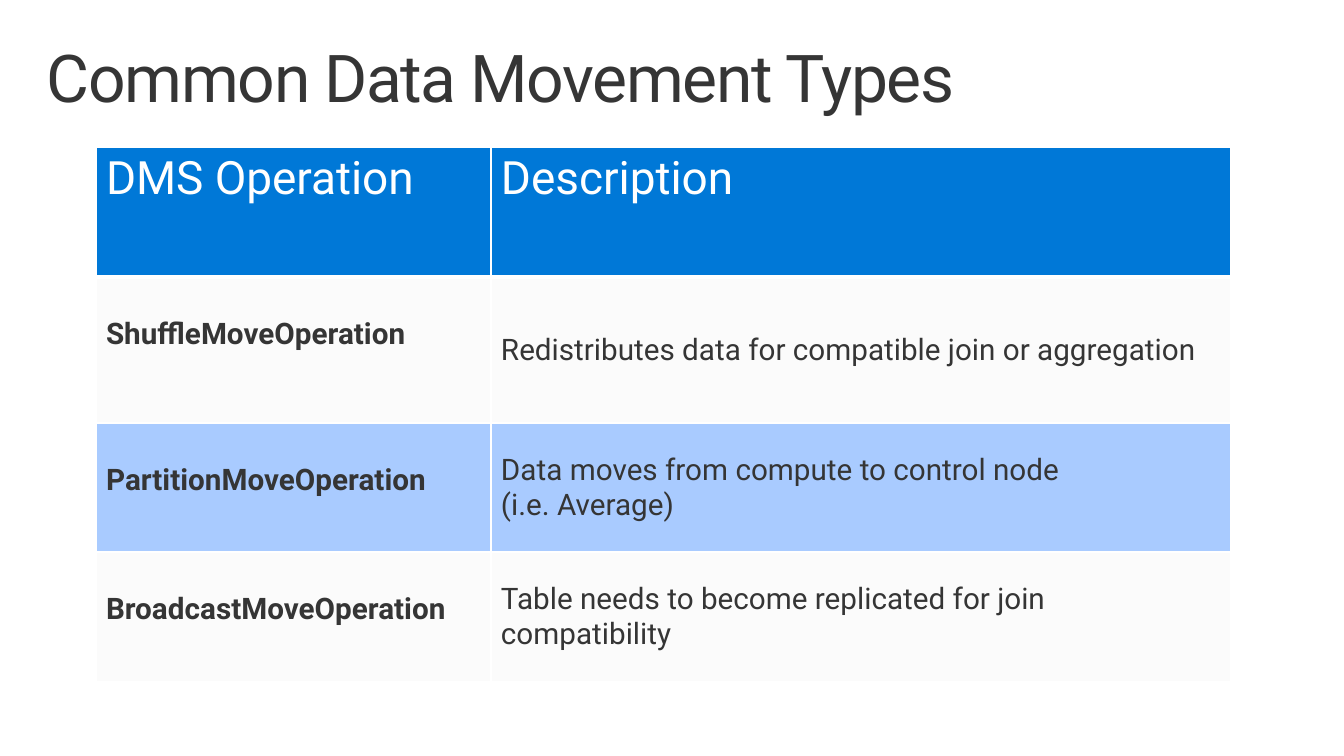
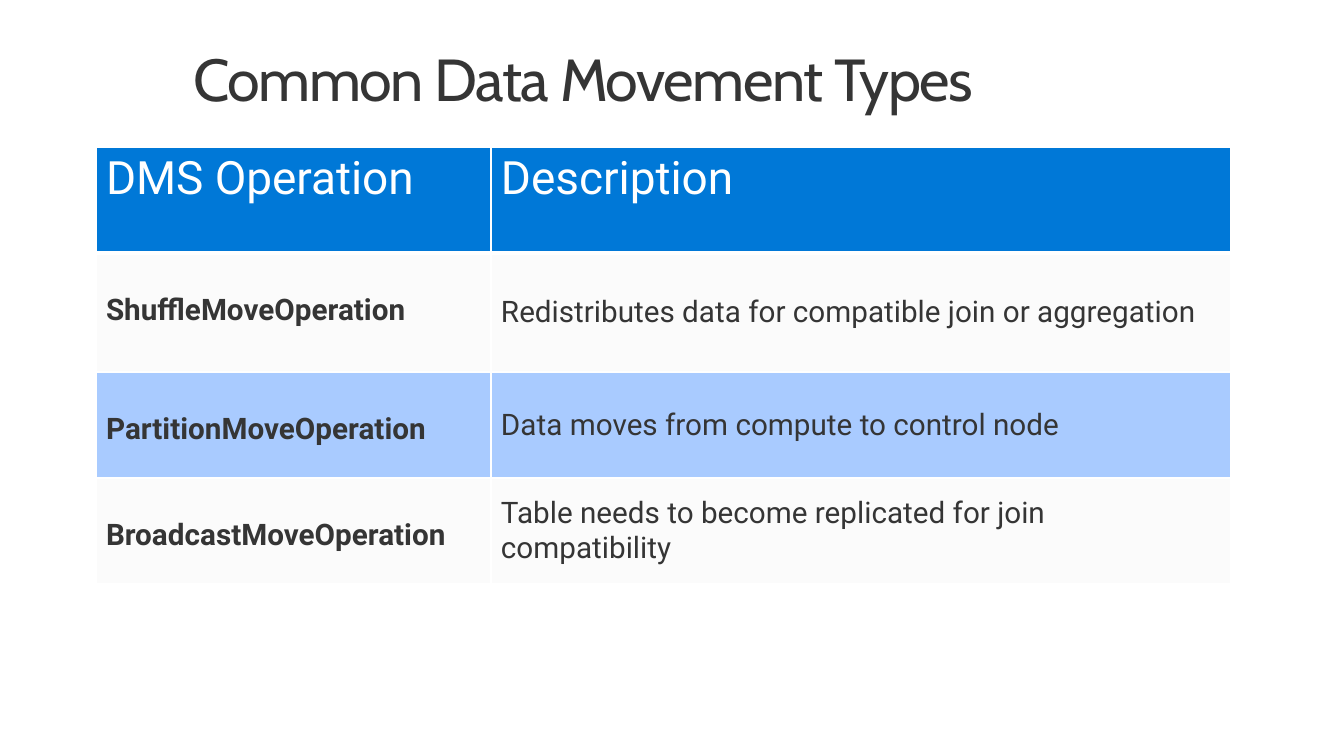
from lxml import etree
from pptx import Presentation
from pptx.dml.color import RGBColor
from pptx.enum.text import MSO_ANCHOR, MSO_AUTO_SIZE, PP_ALIGN
from pptx.oxml.ns import qn
from pptx.util import Emu, Pt

TOP, MIDDLE = MSO_ANCHOR.TOP, MSO_ANCHOR.MIDDLE
LEFT, NO_FIT = PP_ALIGN.LEFT, MSO_AUTO_SIZE.NONE
EMU_PER_PX = 8572
TITLE_ONLY = 5
COLORS = {"text": "353535", "white": "FFFFFF", "header": "0078D7",
          "light": "FBFBFB", "band": "A9CBFF"}
BODY_FONT = "Roboto"
COLUMNS = (395, 740)
CELL_INSETS = (10, 5, 10, 5)
LABEL_INSETS = (10, 40, 10, 5)  # operation names start one line lower


def px(length):
    return Emu(length * EMU_PER_PX)


def rgb(name):
    return RGBColor.from_string(COLORS[name])


class Deck:
    """Holds the shared style and the current slide."""

    def __init__(self, width, height):
        self.deck = Presentation()
        self.deck.slide_width, self.deck.slide_height = px(width), px(height)
        self.page = None

    def add_page(self):
        self.page = self.deck.slides.add_slide(self.deck.slide_layouts[TITLE_ONLY])

    def style(self, para, size, color, font=BODY_FONT, bold=False):
        para.alignment = LEFT
        for span in para.runs:
            span.font.name, span.font.size, span.font.bold = font, Pt(size), bold
            span.font.color.rgb = rgb(color)

    def inset(self, target, insets):
        (target.margin_left, target.margin_top,
         target.margin_right, target.margin_bottom) = map(px, insets)

    def title(self, text, place, size, font):
        box = self.page.shapes.title
        box.left, box.top, box.width, box.height = map(px, place)
        frame = box.text_frame
        frame.text = text
        frame.word_wrap, frame.auto_size = True, NO_FIT
        frame.vertical_anchor = MIDDLE
        self.inset(frame, (17, 11, 17, 11))
        para = frame.paragraphs[0]
        para.line_spacing = 0.9
        self.style(para, size, "text", font)
        for span in para.runs:
            span.font._element.set("spc", "-90")

    def borders(self, cell, bottom):
        properties = cell._tc.get_or_add_tcPr()
        for side, points in (("L", 1), ("R", 1), ("T", 1), ("B", bottom)):
            line = etree.SubElement(properties, qn(f"a:ln{side}"), w=str(Pt(points)))
            fill = etree.SubElement(line, qn("a:solidFill"))
            etree.SubElement(fill, qn("a:srgbClr"), val=COLORS["white"])

    def cell(self, cell, text, row, column):
        header, label = row == 0, row > 0 and column == 0
        cell.text_frame.text = text
        self.inset(cell, LABEL_INSETS if label else CELL_INSETS)
        cell.vertical_anchor = TOP if header or label else MIDDLE
        for para in cell.text_frame.paragraphs:
            self.style(para, 31 if header else 20,
                       "white" if header else "text", bold=label)
        self.borders(cell, bottom=3 if header else 1)
        cell.fill.solid()
        cell.fill.fore_color.rgb = rgb(
            "header" if header else "light" if row % 2 else "band")

    def table(self, left, top, heights, content):
        table = self.page.shapes.add_table(
            len(heights), len(COLUMNS), px(left), px(top),
            px(sum(COLUMNS)), px(sum(heights))).table
        for column, width in zip(table.columns, COLUMNS):
            column.width = px(width)
        for row, (height, texts) in enumerate(zip(heights, content)):
            table.rows[row].height = px(height)
            for column, text in enumerate(texts):
                self.cell(table.cell(row, column), text, row, column)


def operations(partition_text):
    return (
        ("DMS Operation", "Description"),
        ("ShuffleMoveOperation",
         "Redistributes data for compatible join or aggregation"),
        ("PartitionMoveOperation", partition_text),
        ("BroadcastMoveOperation",
         "Table needs to become replicated for join compatibility"),
    )


def main():
    slides = Deck(1344, 756)
    partition = "Data moves from compute to control node"
    # Title place, size and font; row heights; partition description
    pages = (
        ((30, 32, 1285, 99), 44.5, "Roboto", (130, 146, 129, 130),
         partition + "\n(i.e. Average)"),
        ((176, 37, 992, 90), 40, "Cabin", (106, 119, 106, 106), partition),
    )
    for place, size, font, heights, description in pages:
        slides.add_page()
        slides.title("Common Data Movement Types", place, size, font)
        slides.table(96, 147, heights, operations(description))
    slides.deck.save("out.pptx")


if __name__ == "__main__":
    main()
